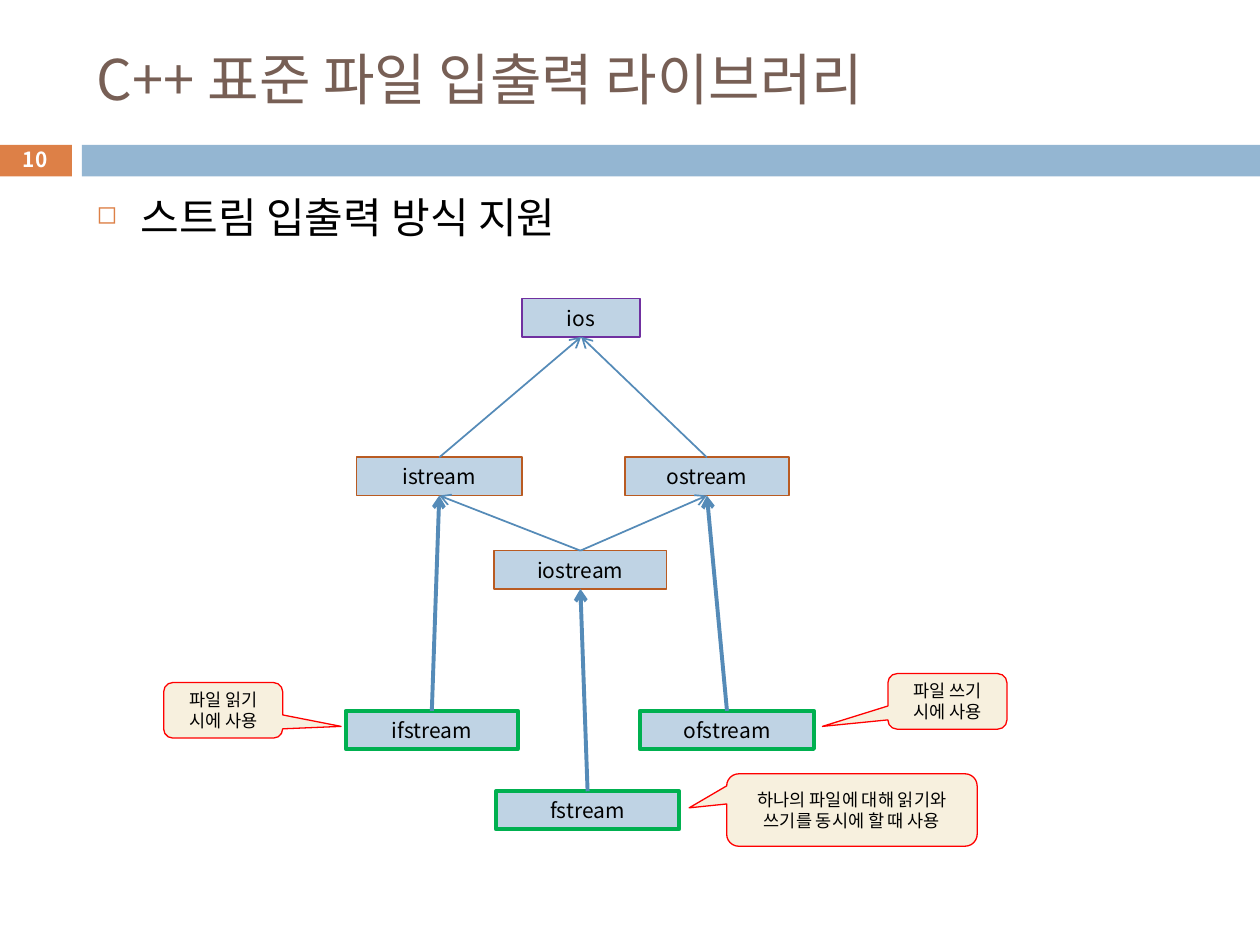
"""Build the slide on the C++ standard file input/output class hierarchy."""
from lxml import etree
from pptx import Presentation
from pptx.dml.color import RGBColor
from pptx.enum.shapes import MSO_CONNECTOR, MSO_SHAPE
from pptx.enum.text import MSO_ANCHOR, PP_ALIGN
from pptx.oxml.ns import qn
from pptx.util import Cm, Pt

FONT = "Noto Sans CJK KR"
RECTANGLE = MSO_SHAPE.RECTANGLE
CALLOUT = MSO_SHAPE.ROUNDED_RECTANGULAR_CALLOUT
STRAIGHT = MSO_CONNECTOR.STRAIGHT
MIDDLE, TOP = MSO_ANCHOR.MIDDLE, MSO_ANCHOR.TOP
CENTER, LEFT = PP_ALIGN.CENTER, PP_ALIGN.LEFT
TOP_SITE, BOTTOM_SITE = 0, 2


def write(shape, text, size, color="000000", align=CENTER, anchor=MIDDLE, bold=False):
    frame = shape.text_frame
    frame.text = text
    frame.word_wrap = True
    frame.vertical_anchor = anchor
    paragraph = frame.paragraphs[0]
    paragraph.alignment = align
    font = paragraph.runs[0].font
    font.size, font.name, font.bold = Pt(size), FONT, bold
    font.color.rgb = RGBColor.from_string(color)
    etree.SubElement(font._element, qn("a:ea"), typeface=FONT)
    return paragraph


def add_block(preset, place, fill, line=None, width=1):
    block = slide.shapes.add_shape(preset, *map(Cm, place))
    block.shadow.inherit = False
    block.fill.solid()
    block.fill.fore_color.rgb = RGBColor.from_string(fill)
    if line:
        block.line.color.rgb = RGBColor.from_string(line)
        block.line.width = Pt(width)
    else:
        block.line.fill.background()
    return block


prs = Presentation()
prs.slide_width, prs.slide_height = Cm(25.4), Cm(19.05)
slide = prs.slides.add_slide(prs.slide_layouts[5])

add_block(RECTANGLE, (-0.03, 2.92, 1.48, 0.64), "DD8047")
add_block(RECTANGLE, (1.65, 2.92, 23.75, 0.64), "94B6D2")

title = slide.shapes.title
title.left, title.top, title.width, title.height = map(Cm, (1.7, 0.64, 22.66, 1.88))
write(title, "C++ 표준 파일 입출력 라이브러리", 32, "775F55", LEFT)

body = slide.shapes.add_textbox(*map(Cm, (1.7, 3.73, 22.66, 2.01)))
support = write(body, "스트림 입출력 방식 지원", 24, align=LEFT, anchor=TOP)
support.space_before = Pt(7)
bullet = support._p.get_or_add_pPr()
bullet.set("marL", str(Cm(0.89)))
bullet.set("indent", str(Cm(-0.89)))
bullet_color = etree.SubElement(bullet, qn("a:buClr"))
etree.SubElement(bullet_color, qn("a:srgbClr"), val="DD8047")
etree.SubElement(bullet, qn("a:buSzPct"), val="60000")
etree.SubElement(bullet, qn("a:buChar"), char="◻")

page_number = slide.shapes.add_textbox(*map(Cm, (-0.03, 2.87, 1.48, 0.69)))
page_number.text_frame.margin_top = page_number.text_frame.margin_bottom = 0
write(page_number, "10", 11.9, "FFFFFF", bold=True)

PURPLE, BROWN, GREEN = ("7030A0", 1), ("B95B22", 1), ("00B050", 2.25)
classes = {}
for name, left, top, width, outline in (
    ("ios", 10.52, 6.02, 2.39, PURPLE),
    ("istream", 7.19, 9.22, 3.33, BROWN),
    ("ostream", 12.6, 9.22, 3.3, BROWN),
    ("iostream", 9.96, 11.1, 3.48, BROWN),
    ("ifstream", 6.97, 14.33, 3.47, GREEN),
    ("ofstream", 12.9, 14.33, 3.51, GREEN),
    ("fstream", 10.0, 15.95, 3.69, GREEN),
):
    classes[name] = add_block(RECTANGLE, (left, top, width, 0.77), "BFD3E4", *outline)
    classes[name].text_frame.margin_top = classes[name].text_frame.margin_bottom = 0
    write(classes[name], name, 12)

for child, parent, width in (
    ("istream", "ios", 1),
    ("ostream", "ios", 1),
    ("iostream", "istream", 1),
    ("iostream", "ostream", 1),
    ("ifstream", "istream", 2.25),
    ("ofstream", "ostream", 2.25),
    ("fstream", "iostream", 2.25),
):
    inheritance = slide.shapes.add_connector(STRAIGHT, 0, 0, 0, 0)
    inheritance.begin_connect(classes[child], TOP_SITE)
    inheritance.end_connect(classes[parent], BOTTOM_SITE)
    inheritance.line.color.rgb = RGBColor.from_string("558BB8")
    inheritance.line.width = Pt(width)
    etree.SubElement(inheritance.line._get_or_add_ln(), qn("a:tailEnd"), type="arrow")
    etree.SubElement(inheritance._element.spPr, qn("a:effectLst"))

for usage, place, pointer in (
    ("파일 읽기 시에 사용", (3.3, 13.76, 2.4, 1.12), (0.99, 0.29)),
    ("파일 쓰기 시에 사용", (17.9, 13.58, 2.4, 1.12), (-1.05, 0.45)),
    ("하나의 파일에 대해 읽기와 쓰기를 동시에 할 때 사용", (14.65, 15.6, 5.05, 1.46), (-0.65, -0.03)),
):
    note = add_block(CALLOUT, place, "F7F0DE", "FF0000", 0.75)
    note.adjustments[0], note.adjustments[1] = pointer
    write(note, usage, 10)

prs.save("out.pptx")
